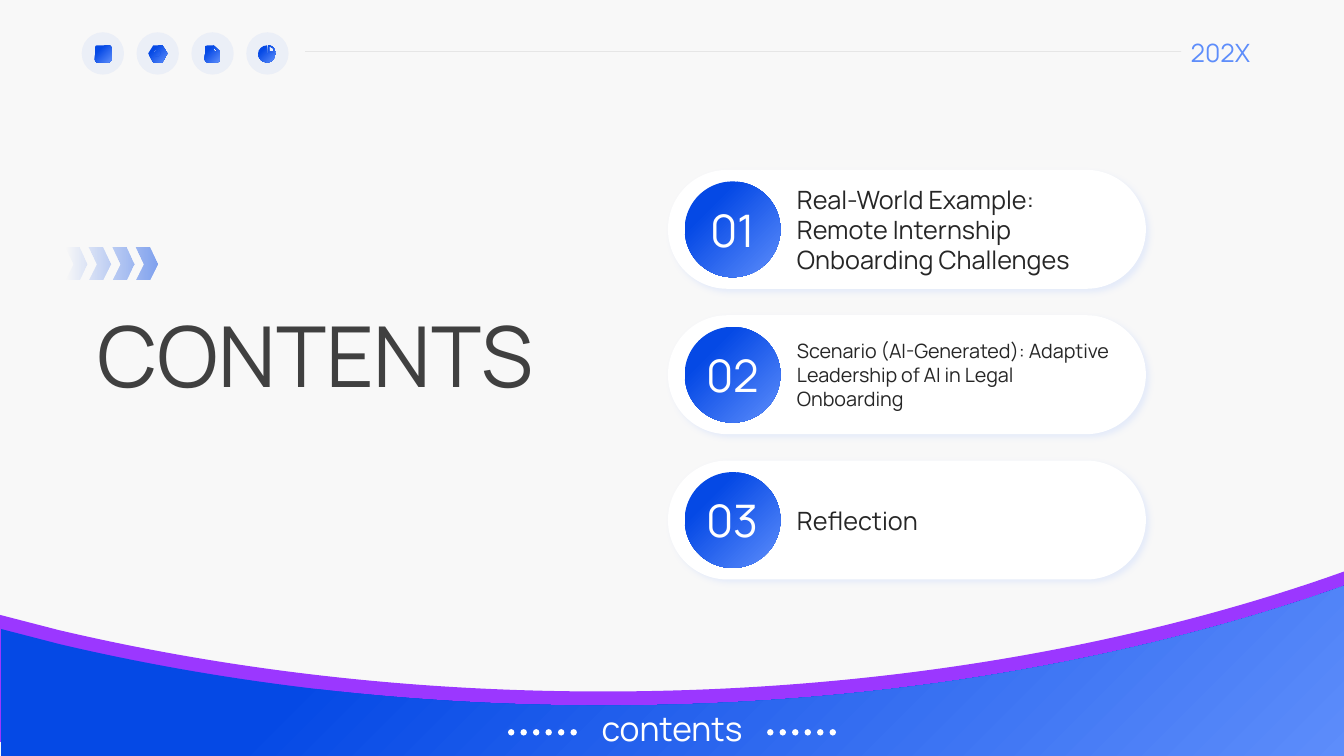
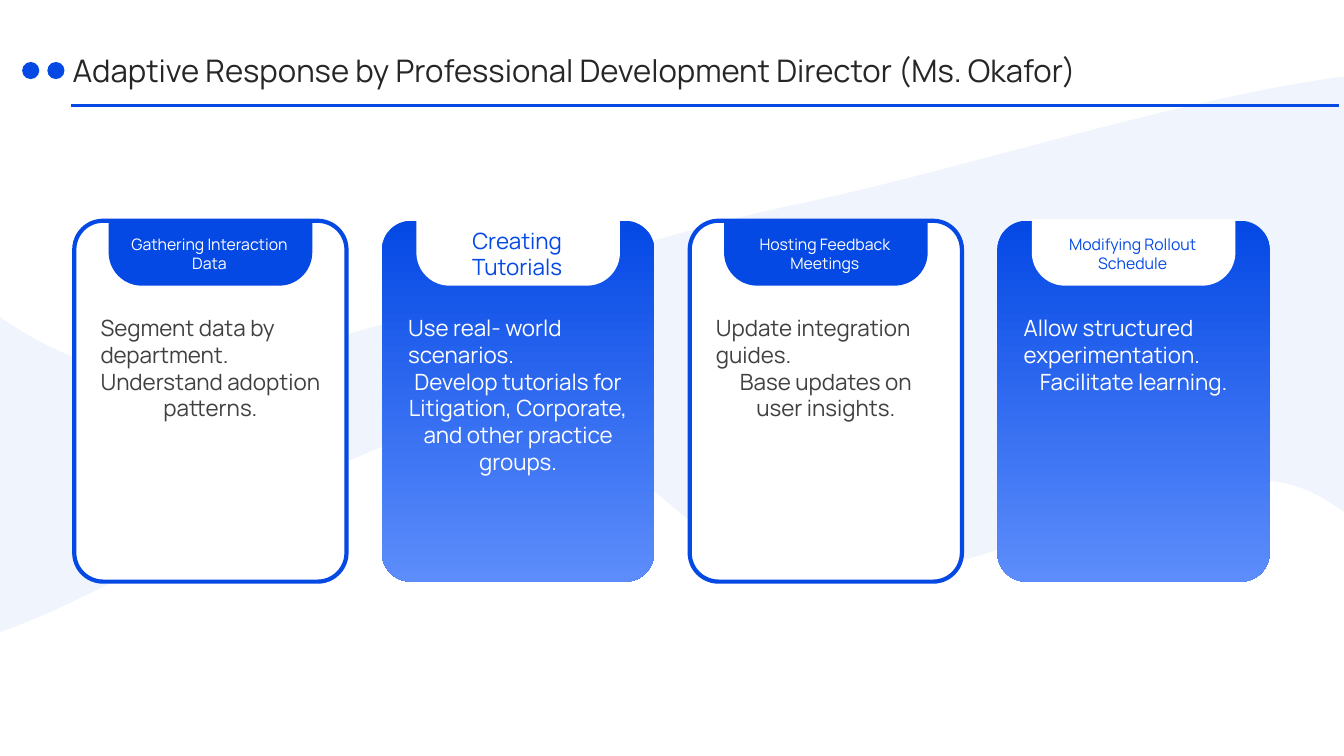
"""Build a contents slide and a four-card response slide."""
from lxml import etree
from pptx import Presentation, util as u
from pptx.dml.color import RGBColor
from pptx.enum import shapes, text
from pptx.oxml.ns import qn

BLUE, SKY, PURPLE, WHITE = "0549E5", "5D8DFB", "9B37FF", "FFFFFF"
INK, GREY, PAPER, HAIRLINE = "262626", "404040", "F2F2F2", "707070"
FONT = "Manrope"
WIDTH, HEIGHT = 13.33, 7.5
KIND = shapes.MSO_SHAPE
LEFT, CENTER = text.PP_ALIGN.LEFT, text.PP_ALIGN.CENTER
TOP, MIDDLE = text.MSO_ANCHOR.TOP, text.MSO_ANCHOR.MIDDLE


def paint(shape, *colours, angle=0, start=0, opacity=()):
    shape.shadow.inherit = False
    shape.line.fill.background()
    if len(colours) == 1:
        shape.fill.solid()
        shape.fill.fore_color.rgb = RGBColor.from_string(colours[0])
    else:
        shape.fill.gradient()
        shape.fill.gradient_angle = -angle % 360
        for stop, colour, position in zip(shape.fill.gradient_stops, colours, (start, 1)):
            stop.color.rgb = RGBColor.from_string(colour)
            stop.position = position
    for colour, percent in zip(shape.element.spPr.iter(qn("a:srgbClr")), opacity):
        etree.SubElement(colour, qn("a:alpha"), val=str(percent * 1000))
    return shape


def write(shape, wording, size, colour, aligns=(LEFT,), anchor=MIDDLE):
    frame = shape.text_frame
    frame.word_wrap = True
    frame.vertical_anchor = anchor
    frame.margin_left = frame.margin_right = frame.margin_top = frame.margin_bottom = 0
    frame.text = wording
    for paragraph, align in zip(frame.paragraphs, aligns):
        paragraph.alignment = align
        paragraph.font.name = FONT
        paragraph.font.size = u.Pt(size)
        paragraph.font.color.rgb = RGBColor.from_string(colour)


presentation = Presentation()
presentation.slide_width, presentation.slide_height = u.Inches(WIDTH), u.Inches(HEIGHT)
contents, response = [presentation.slides.add_slide(presentation.slide_layouts[6]) for _ in range(2)]
backdrop = contents.shapes.add_shape(KIND.RECTANGLE, *map(u.Inches, (-0.25, -0.34, 14.16, 8.52)))
paint(backdrop, PAPER, opacity=(50,))

for column in range(4):
    badge = contents.shapes.add_shape(
        KIND.OVAL, *map(u.Inches, (0.81 + 0.544 * column, 0.32, 0.42, 0.42)))
    paint(badge, BLUE, opacity=(5,))

hill = [(WIDTH, 5.67), (WIDTH, 7.36), (0, 7.36), (0, 6.1), (0.58, 6.25),
        (2.24, 6.64, 4.06, 6.86, 5.98, 6.86), (8.61, 6.86, 11.07, 6.45, 13.16, 5.73)]
wave = [(WIDTH, 0.76), (WIDTH, 5.08), (13.26, 5.03), (13.04, 4.88, 12.8, 4.77, 12.52, 4.77),
        (11.42, 4.76, 9.38, 5.87, 8.09, 5.77), (6.8, 5.67, 6.27, 4.06, 4.78, 4.16),
        (3.62, 4.24, 1.47, 5.73, 0.09, 6.24), (0, 6.27), (0, 3.14), (0.04, 3.17),
        (0.46, 3.46, 0.96, 3.7, 1.54, 3.68), (3.09, 3.63, 5.66, 2.5, 7.89, 2.03),
        (9.43, 1.71, 11.65, 0.99, 13.25, 0.77)]
circle = [(0, -1), (0.55, -1, 1, -0.55, 1, 0), (1, 0.55, 0.55, 1, 0, 1),
          (-0.55, 1, -1, 0.55, -1, 0), (-1, -0.55, -0.55, -1, 0, -1)]
tile = [(0.02, 0), (0.14, 0), (0.15, 0, 0.17, 0.01, 0.17, 0.03), (0.17, 0.14),
        (0.17, 0.15, 0.15, 0.17, 0.14, 0.17), (0.02, 0.17),
        (0.01, 0.17, 0, 0.15, 0, 0.14), (0, 0.03), (0, 0.01, 0.01, 0, 0.02, 0)]
hexagon = [(0.05, 0), (0.14, 0), (0.19, 0.08), (0.14, 0.17), (0.05, 0.17), (0, 0.08)]
page = [(0.03, 0), (0.09, 0), (0.15, 0.06), (0.15, 0.14), (0.15, 0.16, 0.14, 0.17, 0.12, 0.17),
        (0.03, 0.17), (0.01, 0.17, 0, 0.16, 0, 0.14), (0, 0.02), (0, 0.01, 0.01, 0, 0.03, 0)]
fold = [(0.09, 0.02), (0.09, 0.05), (0.09, 0.05, 0.09, 0.06, 0.1, 0.06), (0.13, 0.06)]
pie = [(0.09, 0), (0.09, 0.08), (0.17, 0.08), (0.17, 0.13, 0.14, 0.17, 0.09, 0.17),
       (0.04, 0.17, 0, 0.13, 0, 0.08), (0, 0.04, 0.04, 0, 0.09, 0)]
wedge = [(0.1, 0), (0.14, 0, 0.17, 0.03, 0.17, 0.07), (0.1, 0.07)]
window = [(0.11, 0.01), (0.11, 0.06), (0.16, 0.06), (0.16, 0.03, 0.14, 0.01, 0.11, 0.01)]
chevron = [(0, 0), (0.14, 0), (0.22, 0.16), (0.14, 0.31), (0, 0.31), (0.08, 0.16)]

diagonal = {"angle": 45, "start": 0.26}
for slide, contours, colours, style in (
        (contents, [(0, 0, 1, hill)], (PURPLE,), {}),
        (contents, [(0.01, 0.14, 1, hill)], (BLUE, SKY), diagonal),
        (response, [(0, 0, 1, wave)], (BLUE,), {"opacity": (6,)}),
        (contents, [(0.94, 0.45, 1, tile)], (BLUE, SKY), diagonal),
        (contents, [(1.47, 0.45, 1, hexagon), (1.56, 0.53, 0.04, circle),
                    (1.56, 0.53, 0.03, circle)], (BLUE, SKY), diagonal),
        (contents, [(2.03, 0.45, 1, page), (2.03, 0.45, 1, fold)], (BLUE, SKY), diagonal),
        (contents, [(2.56, 0.45, 1, pie), (2.56, 0.45, 1, wedge), (2.56, 0.45, 1, window)],
         (BLUE, SKY), diagonal),
        (contents, [(0.65 + 0.23 * column, 2.46, 1, chevron) for column in range(4)],
         (BLUE, BLUE), {"opacity": (0, 50)}),
        *((contents, [(left + 0.124 * column, 7.265, 0.032, circle) for column in range(6)],
           (WHITE,), {}) for left in (5.07, 7.64))):
    builder, sizes = None, []
    for x, y, scale, outline in contours:
        points = [(u.Inches(x + scale * segment[i]), u.Inches(y + scale * segment[i + 1]))
                  for segment in outline for i in range(0, len(segment), 2)]
        sizes += [len(segment) for segment in outline[1:]]
        if builder is None:
            builder = slide.shapes.build_freeform(*points[0])
        else:
            builder.move_to(*points[0])
        builder.add_line_segments(points[1:], close=True)
    freeform = paint(builder.convert_to_shape(), *colours, **style)
    lines = iter(list(freeform.element.iter(qn("a:lnTo"))))
    for size in sizes:
        line = next(lines)
        if size == 6:
            curve = etree.Element(qn("a:cubicBezTo"))
            line.addprevious(curve)
            for control in (line, next(lines), next(lines)):
                curve.append(control[0])
                control.getparent().remove(control)

for slide, start, end, y, colour, weight, percent in (
        (contents, 3.03, 11.71, 0.51, HAIRLINE, 0.5, 20),
        (response, 0.72, 13.26, 1.05, BLUE, 2.25, 100)):
    rule = slide.shapes.add_connector(
        shapes.MSO_CONNECTOR.STRAIGHT, *map(u.Inches, (start, y, end, y)))
    rule.line.color.rgb = RGBColor.from_string(colour)
    rule.line.width = u.Pt(weight)
    for tint in rule.element.spPr.iter(qn("a:srgbClr")):
        etree.SubElement(tint, qn("a:alpha"), val=str(percent * 1000))
    rule.element.spPr.find(qn("a:ln")).set("cap", "sq")
    etree.SubElement(rule.element.spPr, qn("a:effectLst"))

for row, (topic, size) in enumerate((
        ("Real-World Example: Remote Internship Onboarding Challenges", 18),
        ("Scenario (AI-Generated): Adaptive Leadership of AI in Legal Onboarding", 14.1),
        ("Reflection", 18))):
    y = 1.685 + 1.442 * row
    pill = contents.shapes.add_shape(
        KIND.ROUNDED_RECTANGLE, *map(u.Inches, (6.625, y, 4.74, 1.18)))
    pill.adjustments[0] = 0.5
    paint(pill, WHITE)
    shadow = etree.SubElement(
        pill.element.spPr.find(qn("a:effectLst")), qn("a:outerShdw"), blurRad=str(u.Pt(4)),
        dist=str(u.Pt(3)), dir=str(45 * 60000), algn="tl", rotWithShape="0")
    tint = etree.SubElement(shadow, qn("a:srgbClr"), val="C9D9FE")
    etree.SubElement(tint, qn("a:alpha"), val="40000")
    disc = contents.shapes.add_shape(KIND.OVAL, *map(u.Inches, (6.79, y + 0.115, 0.95, 0.95)))
    paint(disc, BLUE, SKY, **diagonal)
    number = contents.shapes.add_textbox(*map(u.Inches, (6.72, y - 0.06, 1.09, 1.3)))
    write(number, f"{row + 1:02}", 32, WHITE, (CENTER,))
    label = contents.shapes.add_textbox(*map(u.Inches, (7.905, y - 0.005, 3.2, 1.19)))
    write(label, topic, size, INK)

for left in (0.22, 0.47):
    paint(response.shapes.add_shape(KIND.OVAL, *map(u.Inches, (left, 0.615, 0.17, 0.17))), BLUE)

for slide, box, wording, size, colour, align in (
        (contents, (11.81, 0.32, 0.71, 0.4), "202X", 18, SKY, LEFT),
        (contents, (0.32, 2.72, 5.62, 1.59), "CONTENTS", 60, GREY, CENTER),
        (contents, (5.62, 7, 2.09, 0.44), "contents", 24, WHITE, CENTER),
        (response, (0.72, 0.44, 11.67, 0.51),
         "Adaptive Response by Professional Development Director (Ms. Okafor)", 22.2, INK, LEFT)):
    write(slide.shapes.add_textbox(*map(u.Inches, box)), wording, size, colour, (align,))

for column, (heading, size, body) in enumerate((
        ("Gathering Interaction Data", 11.3,
         "Segment data by department.\nUnderstand adoption patterns."),
        ("Creating Tutorials", 16,
         "Use real- world scenarios.\n"
         "Develop tutorials for Litigation, Corporate, and other practice groups."),
        ("Hosting Feedback Meetings", 11.3,
         "Update integration guides.\nBase updates on user insights."),
        ("Modifying Rollout Schedule", 11.3,
         "Allow structured experimentation.\nFacilitate learning."))):
    x = 0.737 + 3.052 * column
    filled = column % 2 == 1
    card = response.shapes.add_shape(
        KIND.ROUNDED_RECTANGLE, *map(u.Inches, (x, 2.19, 2.7, 3.58)))
    card.adjustments[0] = 0.106
    if filled:
        paint(card, BLUE, SKY, angle=90, start=0.01)
    else:
        paint(card, WHITE)
        card.line.color.rgb = RGBColor.from_string(BLUE)
        card.line.width = u.Pt(3)
    tab = response.shapes.add_shape(
        KIND.ROUND_2_SAME_RECTANGLE, *map(u.Inches, (x + 0.34, 2.175, 2.02, 0.66)))
    tab.adjustments[0], tab.adjustments[1] = 0, 0.5
    paint(tab, WHITE if filled else BLUE)
    title = response.shapes.add_textbox(*map(u.Inches, (x + 0.45, 2.225, 1.78, 0.58)))
    write(title, heading, size, BLUE if filled else WHITE, (CENTER,))
    detail = response.shapes.add_textbox(*map(u.Inches, (x + 0.26, 3.115, 2.18, 2.47)))
    write(detail, body, 16, WHITE if filled else GREY, (LEFT, CENTER), TOP)

presentation.save("out.pptx")
